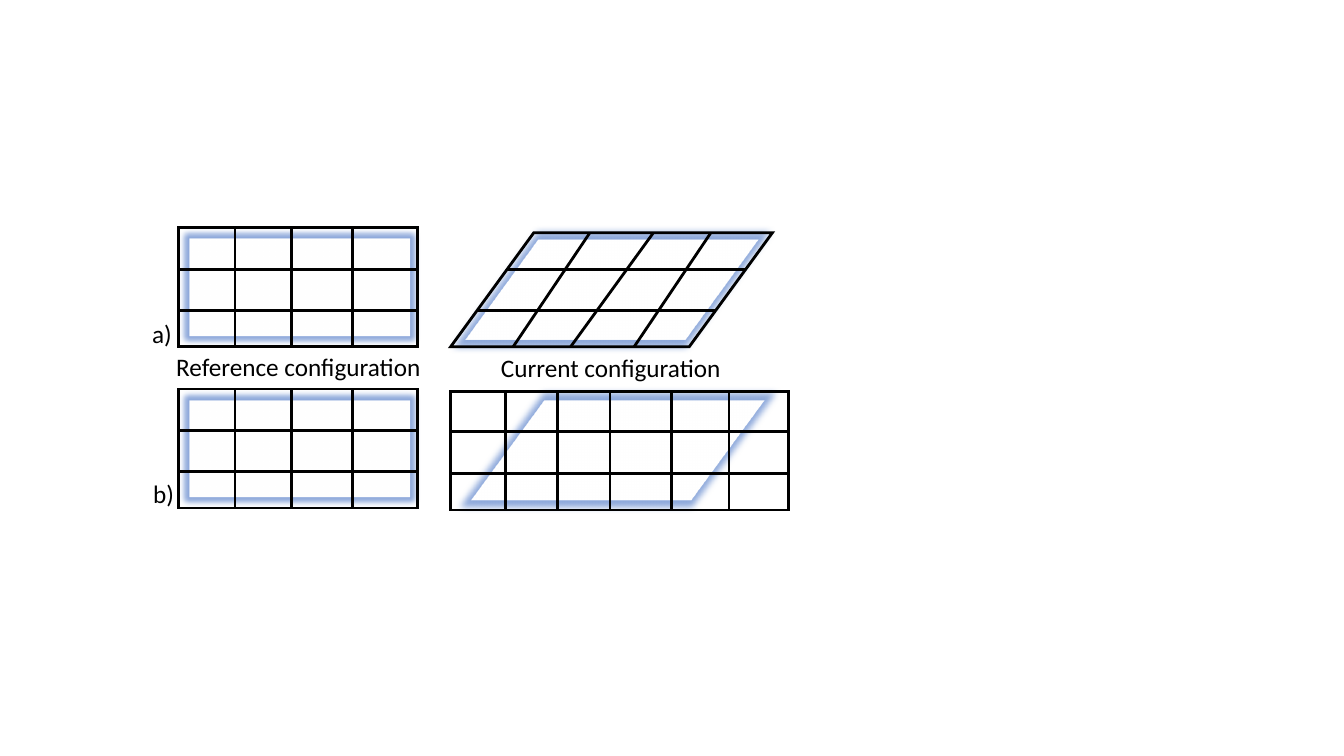
from lxml import etree
from pptx import Presentation
from pptx.dml.color import RGBColor
from pptx.enum.shapes import MSO_CONNECTOR, MSO_SHAPE
from pptx.enum.text import MSO_AUTO_SIZE
from pptx.oxml.ns import qn
from pptx.util import Emu, Pt

RECTANGLE = MSO_SHAPE.RECTANGLE
PARALLELOGRAM = MSO_SHAPE.PARALLELOGRAM
STRAIGHT = MSO_CONNECTOR.STRAIGHT
FIT_SHAPE = MSO_AUTO_SIZE.SHAPE_TO_FIT_TEXT

EMU_PER_PX = 9144  # 100 px to the inch
BLANK_LAYOUT = 6
SLANT = 0.729  # sideways shift of the parallelogram, relative to its height
SOFT_EDGE_EMU = 63500
COLORS = {"grid": "000000", "body": "FFFFFF", "edge": "8FAADC", "text": "000000"}
LABEL_FORMAT = {"name": "Calibri", "size": Pt(18)}


def px(*lengths):
    return [Emu(length * EMU_PER_PX) for length in lengths]


def color(name):
    return RGBColor.from_string(COLORS[name])


def add_outline(shapes, kind, box, line_color="grid", width=2):
    shape = shapes.add_shape(kind, *px(*box))
    shape.shadow.inherit = False
    shape.fill.background()
    shape.line.color.rgb = color(line_color)
    shape.line.width = Pt(width)
    etree.SubElement(shape.line._ln, qn("a:miter"), lim="800000")
    if kind == PARALLELOGRAM:
        shape.adjustments[0] = SLANT
    return shape


def add_body(shapes, kind, box):
    """Material body: white, with a soft blue edge."""
    shape = add_outline(shapes, kind, box, "edge", 10)
    shape.fill.solid()
    shape.fill.fore_color.rgb = color("body")
    effects = shape._element.spPr.find(qn("a:effectLst"))
    etree.SubElement(effects, qn("a:softEdge"), rad=str(SOFT_EDGE_EMU))


def add_grid_line(shapes, *ends):
    line = shapes.add_connector(STRAIGHT, *px(*ends))
    line.line.color.rgb = color("grid")
    line.line.width = Pt(2)
    etree.SubElement(line._element.spPr, qn("a:effectLst"))


def add_grid(slide, box, columns, rows):
    """Upright mesh; columns and rows are offsets from its top left corner."""
    left, top, width, height = box
    shapes = slide.shapes.add_group_shape().shapes
    add_outline(shapes, RECTANGLE, box)
    for x in columns:
        add_grid_line(shapes, left + x, top, left + x, top + height)
    for y in rows:
        add_grid_line(shapes, left, top + y, left + width, top + y)


def add_slanted_grid(slide, box, columns, rows):
    """Sheared mesh; each column gives its offsets at the top and the bottom."""
    left, top, width, height = box
    add_outline(slide.shapes, PARALLELOGRAM, box)
    for upper, lower in columns:
        add_grid_line(slide.shapes, left + upper, top, left + lower, top + height)
    for y in rows:
        start = left + round(SLANT * (height - y))
        end = start + width - round(SLANT * height)
        add_grid_line(slide.shapes, start, top + y, end, top + y)


def add_label(slide, text, box):
    frame = slide.shapes.add_textbox(*px(*box)).text_frame
    frame.word_wrap = False
    frame.auto_size = FIT_SHAPE
    run = frame.paragraphs[0].add_run()
    run.text = text
    for attribute, value in LABEL_FORMAT.items():
        setattr(run.font, attribute, value)
    run.font.color.rgb = color("text")


def main():
    presentation = Presentation()
    presentation.slide_width, presentation.slide_height = px(1333, 750)
    slide = presentation.slides.add_slide(presentation.slide_layouts[BLANK_LAYOUT])

    # Reference configurations, one per row
    for top in (226, 386):
        add_body(slide.shapes, RECTANGLE, (181, top + 4, 232, 110))
        add_grid(slide, (177, top, 237, 118), (56, 112, 173), (41, 82))

    # Current configuration a): the mesh moves with the body
    add_body(slide.shapes, PARALLELOGRAM, (448, 231, 317, 113))
    add_slanted_grid(slide, (447, 231, 319, 113),
                     ((138, 62), (201, 119), (258, 182)), (36, 77))

    # Current configuration b): the mesh stays fixed
    add_body(slide.shapes, PARALLELOGRAM, (454, 390, 317, 113))
    add_grid(slide, (447, 388, 335, 118), (54, 106, 158, 219, 276), (40, 82))

    # Labels
    add_label(slide, "a)", (141, 311, 40, 40))
    add_label(slide, "b)", (142, 470, 41, 40))
    add_label(slide, "Reference configuration", (165, 344, 266, 40))
    add_label(slide, "Current configuration", (487, 345, 241, 40))

    presentation.save("out.pptx")


if __name__ == "__main__":
    main()
